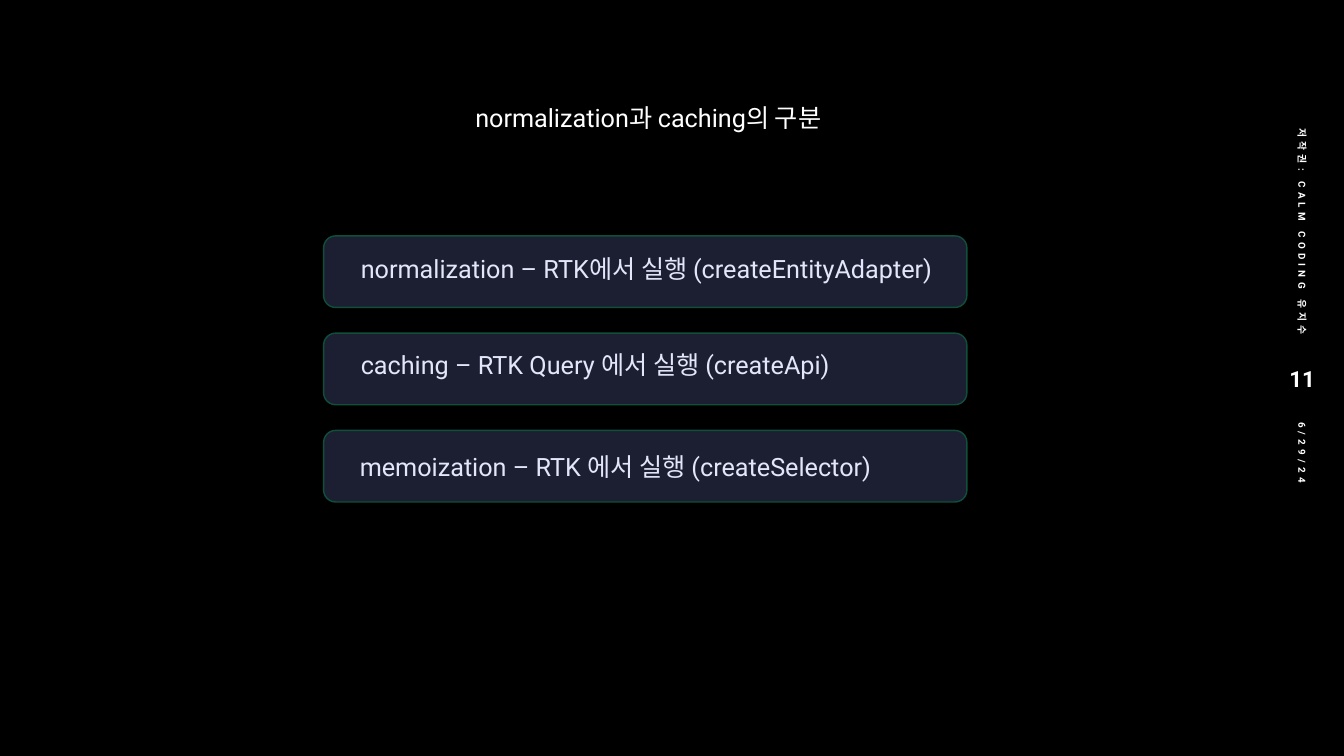
import pptx
import pptx.dml.color
import pptx.enum.shapes
import pptx.enum.text
import pptx.oxml
import pptx.oxml.ns
import pptx.util

Inches = pptx.util.Inches
ALIGN = pptx.enum.text.PP_ALIGN
ANCHOR = pptx.enum.text.MSO_ANCHOR
COLORS = {"bg": "000000", "text": "FFFFFF", "card": "828CE8", "border": "0E5039"}
TITLE = {"size": pptx.util.Pt(18), "name": "Roboto"}
SIDE = {"size": pptx.util.Pt(7), "name": "Roboto", "bold": True}
NUMBER = {**SIDE, "size": pptx.util.Pt(16)}
CARDS = [
    ("normalization – RTK에서 실행 (createEntityAdapter)", 0.27, 0.12),
    ("caching – RTK Query 에서 실행 (createApi)", 0.27, 0.11),
    ("memoization – RTK 에서 실행 (createSelector)", 0.26, 0.16),
]


def rgb(key):
    """Return the palette colour for a key."""
    return pptx.dml.color.RGBColor.from_string(COLORS[key])


def add_text(s, box, text, fmt, align=ALIGN.LEFT, anchor=ANCHOR.TOP):
    """Add one line of text in a box and return its shape."""
    sp = s.shapes.add_textbox(*map(Inches, box))
    tf = sp.text_frame
    tf.word_wrap = True
    tf.vertical_anchor = anchor
    p = tf.paragraphs[0]
    p.alignment = align
    r = p.add_run()
    r.text = text
    for name, value in fmt.items():
        setattr(r.font, name, value)
    r.font.color.rgb = rgb("text")
    return sp


def add_card(s, box):
    """Add a translucent rounded card."""
    sp = s.shapes.add_shape(
        pptx.enum.shapes.MSO_SHAPE.ROUNDED_RECTANGLE, *map(Inches, box))
    sp.shadow.inherit = False
    sp.fill.solid()
    sp.fill.fore_color.rgb = rgb("card")
    color = sp.fill._xPr.find(".//" + pptx.oxml.ns.qn("a:srgbClr"))
    alpha = pptx.oxml.parse_xml(
        "<a:alpha %s val='22000'/>" % pptx.oxml.ns.nsdecls("a"))
    color.append(alpha)
    sp.line.color.rgb = rgb("border")
    sp.line.width = pptx.util.Pt(1)


def add_cards(s, box):
    """Place the text lines and the cards that tint them."""
    left, top, width, height = box
    card_h = 0.71
    step = (height - card_h) / (len(CARDS) - 1)
    for i, (text, dx, dy) in enumerate(CARDS):
        add_text(s, (left + dx, top + i * step + dy, 7.78, 0.4), text, TITLE)
    for i in range(len(CARDS)):
        add_card(s, (left, top + i * step, width, card_h))


def add_sidebar(s, box):
    """Place the rotated credit and date around the slide number."""
    left, top, width, height = box
    length, thick = 2.92, 0.4
    x = left + (width - length) / 2
    for text, middle, align in (
        ("저작권: CALM CODING 유지수", top + length / 2, ALIGN.RIGHT),
        ("6/29/24", top + height - length / 2, ALIGN.LEFT),
    ):
        sp = add_text(s, (x, middle - thick / 2, length, thick), text, SIDE,
                      align, ANCHOR.MIDDLE)
        sp.rotation = 90
        sp.text_frame.paragraphs[0].runs[0].font._element.set("spc", "300")
    add_text(s, (left, top + 3.02, width, 0.47), "11", NUMBER,
             ALIGN.CENTER, ANCHOR.MIDDLE)


def main():
    """Build the slide and save it."""
    prs = pptx.Presentation()
    prs.slide_width, prs.slide_height = Inches(13.33), Inches(7.5)
    s = prs.slides.add_slide(prs.slide_layouts[6])
    s.background.fill.solid()
    s.background.fill.fore_color.rgb = rgb("bg")
    add_sidebar(s, (12.57, 0.5, 0.69, 6.51))
    add_text(s, (1.98, 0.97, 8.9, 0.4), "normalization과 caching의 구분", TITLE,
             ALIGN.CENTER)
    add_cards(s, (3.21, 2.34, 6.38, 2.64))
    prs.save("out.pptx")


if __name__ == "__main__":
    main()
